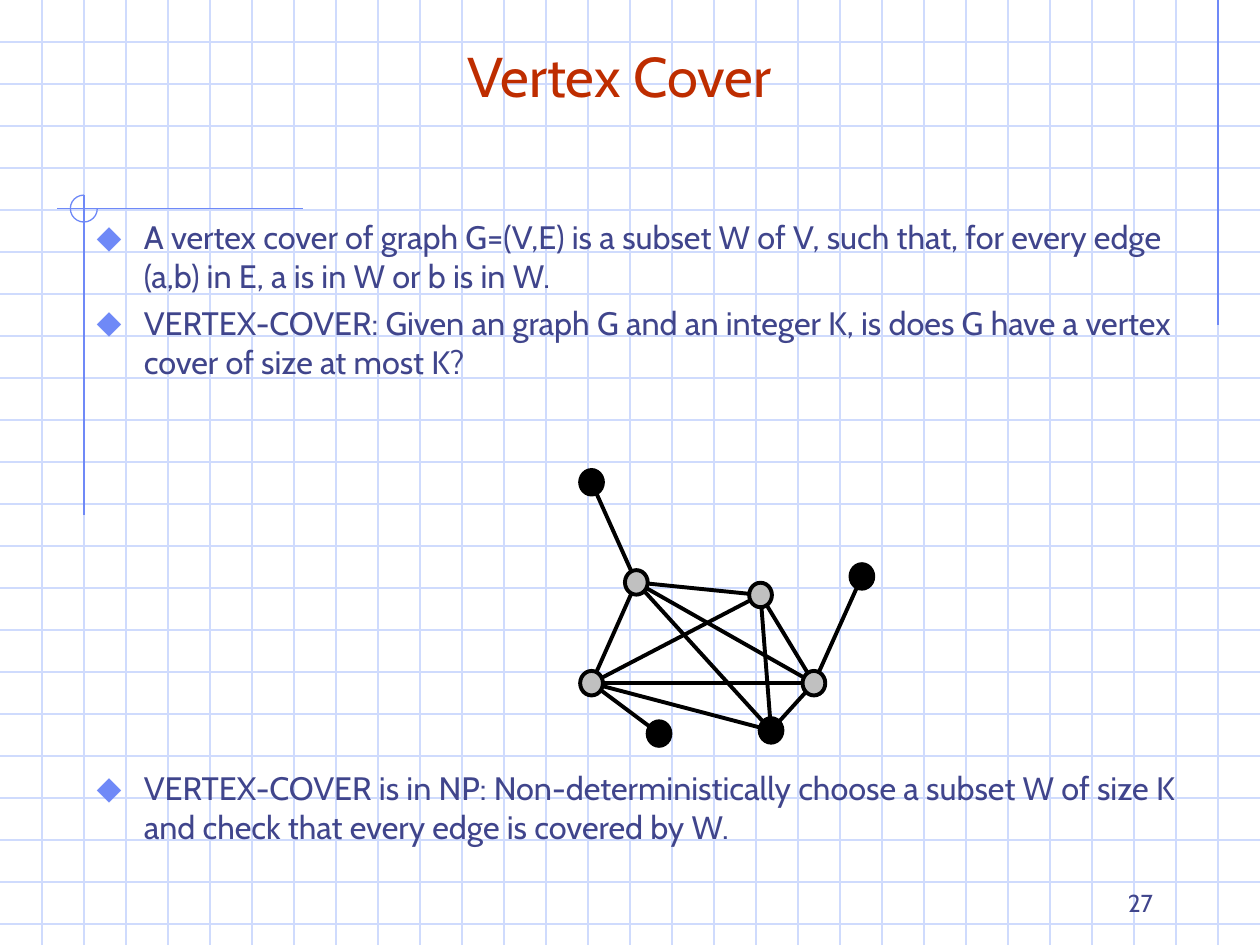
from lxml.etree import SubElement
from pptx import Presentation
from pptx.dml.color import RGBColor
from pptx.enum.shapes import MSO_CONNECTOR, MSO_SHAPE
from pptx.enum.text import MSO_ANCHOR, MSO_AUTO_SIZE, PP_ALIGN
from pptx.oxml.ns import qn
from pptx.util import Pt

GRID, ACCENT, INK, TITLE = "CFDBFD", "6F89F7", "40458C", "BE2D00"
BLACK, GRAY = "000000", "C0C0C0"
WIDTH, HEIGHT, STEP = 720, 540, 24

deck = Presentation()
deck.slide_width, deck.slide_height = Pt(WIDTH), Pt(HEIGHT)
page = deck.slides.add_slide(deck.slide_layouts[1])


def add_line(start, end, color, weight):
    line = page.shapes.add_connector(
        MSO_CONNECTOR.STRAIGHT, *[Pt(value) for value in (*start, *end)])
    line.line.color.rgb = RGBColor.from_string(color)
    line.line.width = Pt(weight)
    SubElement(line.element.spPr, qn("a:effectLst"))


def format_paragraph(para, size, color, align):
    para.alignment = align
    for span in para.runs:
        span.font.name = "Cabin"
        span.font.size = Pt(size)
        span.font.color.rgb = RGBColor.from_string(color)


# Graph paper and corner ornaments
for y in range(STEP, HEIGHT, STEP):
    add_line((0, y), (WIDTH, y), GRID, 0.75)
for x in range(STEP, WIDTH, STEP):
    add_line((x, 0), (x, HEIGHT), GRID, 0.75)
add_line((696, 0), (696, 186), ACCENT, 0.75)
add_line((173, 119.2), (32.6, 119.2), ACCENT, 0.75)
add_line((48, 111.5), (48, 294.5), ACCENT, 0.75)

ring = page.shapes.add_shape(MSO_SHAPE.ARC, Pt(40.2), Pt(111.5), Pt(15.4), Pt(15.4))
ring.shadow.inherit = False
ring.adjustments[0] = 0
ring.adjustments[1] = 270 * 60000 / 100000
ring.fill.background()
ring.line.color.rgb = RGBColor.from_string(ACCENT)
ring.line.width = Pt(0.75)

# Title and bullets, brought in front of the graph paper
title, body = page.shapes.title, page.placeholders[1]
frames = [
    (title, (48, 24, 612, 42), MSO_ANCHOR.BOTTOM),
    (body, (48, 66, 648, 444), MSO_ANCHOR.TOP),
]
for box, (left, top, width, height), anchor in frames:
    page.shapes.element.append(box.element)
    box.left, box.top, box.width, box.height = Pt(left), Pt(top), Pt(width), Pt(height)
    box.text_frame.auto_size = MSO_AUTO_SIZE.NONE
    box.text_frame.vertical_anchor = anchor

title.text_frame.text = "Vertex Cover"
format_paragraph(title.text_frame.paragraphs[0], 32, TITLE, PP_ALIGN.CENTER)

bullets = [
    ("A vertex cover of graph G=(V,E) is a subset W of V, such that, "
     "for every edge (a,b) in E, a is in W or b is in W.", 0),
    ("VERTEX-COVER: Given an graph G and an integer K, is does G have "
     "a vertex cover of size at most K?", 4.6),
    ("VERTEX-COVER is in NP: Non-deterministically choose a subset W of "
     "size K and check that every edge is covered by W.", 221.4),
]
body.text_frame.margin_top = Pt(58)
body.text_frame.text = "\n".join(text for text, gap in bullets)
for para, (text, gap) in zip(body.text_frame.paragraphs, bullets):
    para.space_before = Pt(gap)
    properties = para._p.get_or_add_pPr()
    properties.set("marL", str(Pt(27)))
    properties.set("indent", str(-Pt(27)))
    bullet_color = SubElement(properties, qn("a:buClr"))
    SubElement(bullet_color, qn("a:srgbClr"), val=ACCENT)
    SubElement(properties, qn("a:buSzPct"), val="110000")
    SubElement(properties, qn("a:buFont"), typeface="Cabin")
    SubElement(properties, qn("a:buChar"), char="⬥")
    format_paragraph(para, 18.5, INK, PP_ALIGN.LEFT)

# Graph: vertex centres with fill, then edges as pairs of vertices
vertices = {
    "A": (338, 275.6, BLACK),
    "B": (363.6, 332.8, GRAY),
    "C": (434.6, 340, GRAY),
    "D": (492.5, 329.4, BLACK),
    "E": (465.1, 390.4, GRAY),
    "F": (338, 390.4, GRAY),
    "G": (440.6, 417.4, BLACK),
    "H": (376.6, 419.2, BLACK),
}
for start, end in "AB BC BE BF BG CE CF CG DE EF EG FG FH".split():
    add_line(vertices[start][:2], vertices[end][:2], BLACK, 2.25)
for x, y, color in vertices.values():
    vertex = page.shapes.add_shape(
        MSO_SHAPE.OVAL, Pt(x - 6.5), Pt(y - 7), Pt(13), Pt(14))
    vertex.shadow.inherit = False
    vertex.fill.solid()
    vertex.fill.fore_color.rgb = RGBColor.from_string(color)
    vertex.line.color.rgb = RGBColor.from_string(BLACK)
    vertex.line.width = Pt(2.25)

number = page.shapes.add_textbox(Pt(516), Pt(492), Pt(150), Pt(36))
number.text_frame.word_wrap = True
number.text_frame.vertical_anchor = MSO_ANCHOR.BOTTOM
number.text_frame.text = "27"
format_paragraph(number.text_frame.paragraphs[0], 14, INK, PP_ALIGN.RIGHT)

deck.save("out.pptx")
